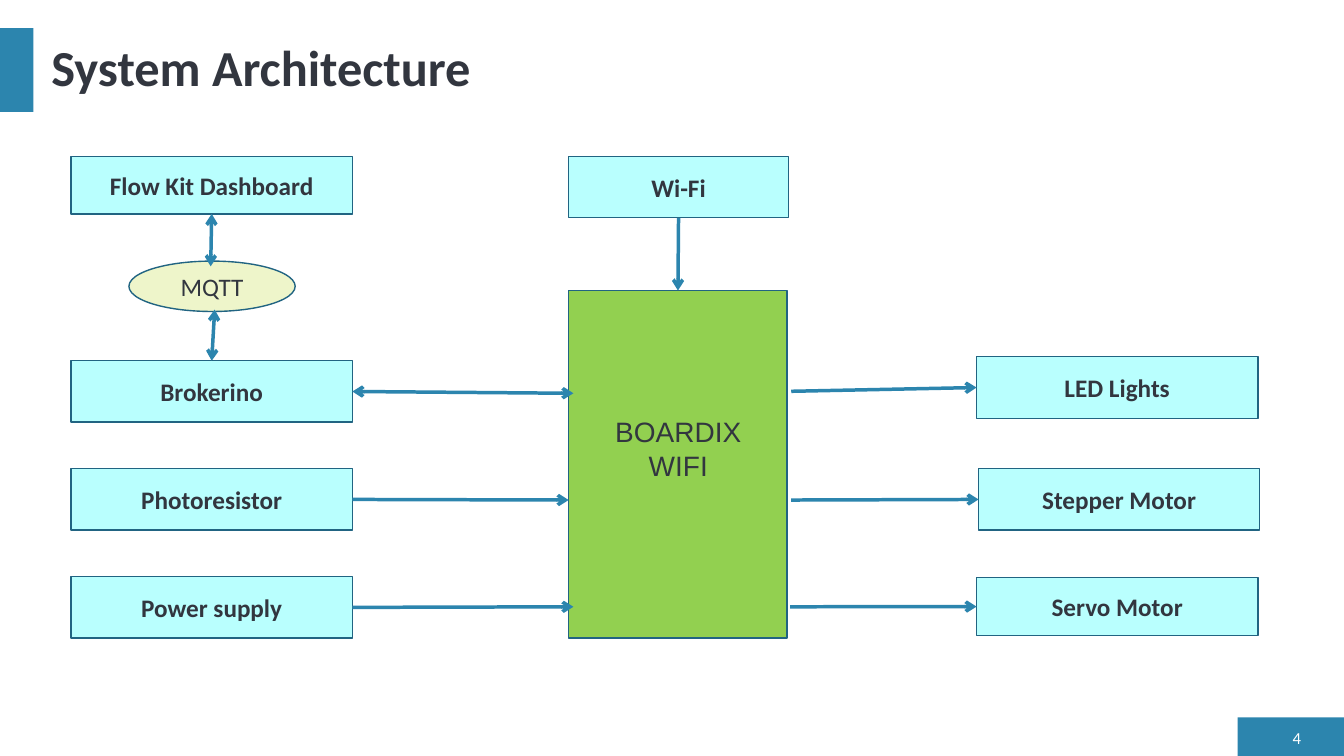
"""Build the System Architecture slide: a controller board with its inputs and outputs."""
from lxml import etree
from pptx import Presentation
from pptx import util as u
from pptx.dml.color import RGBColor
from pptx.enum import shapes, text
from pptx.oxml.ns import qn

BLUE, OUTLINE, INK, WHITE = "2C85AE", "216482", "32363F", "FFFFFF"
CYAN, GREEN, CREAM = "B9FFFE", "92D050", "EEF5CA"
RECTANGLE, OVAL = shapes.MSO_SHAPE.RECTANGLE, shapes.MSO_SHAPE.OVAL
TOP, LEFT, BOTTOM, RIGHT = range(4)


def write(shape, content, size=18, font="Calibri", color=INK, bold=False,
          align=text.PP_ALIGN.CENTER, spacing=1.0):
    """Put formatted text in a shape, one paragraph a line."""
    frame = shape.text_frame
    frame.text = content
    frame.word_wrap = True
    frame.vertical_anchor = text.MSO_ANCHOR.MIDDLE
    for paragraph in frame.paragraphs:
        paragraph.alignment = align
        paragraph.line_spacing = spacing
        for run in paragraph.runs:
            run.font.size = u.Pt(size)
            run.font.name = font
            run.font.bold = bold
            run.font.color.rgb = RGBColor.from_string(color)


def add_block(slide, kind, box, fill, outline=None):
    """Add a filled shape, with a thin outline if one is given."""
    shape = slide.shapes.add_shape(kind, *map(u.Cm, box))
    shape.shadow.inherit = False
    shape.fill.solid()
    shape.fill.fore_color.rgb = RGBColor.from_string(fill)
    if outline:
        shape.line.color.rgb = RGBColor.from_string(outline)
        shape.line.width = u.Pt(1)
    else:
        shape.line.fill.background()
    return shape


presentation = Presentation()
presentation.slide_width, presentation.slide_height = u.Cm(33.87), u.Cm(19.05)
slide = presentation.slides.add_slide(presentation.slide_layouts[5])

title = slide.shapes.title
title.left, title.top, title.width, title.height = map(u.Cm, (1.04, 0.71, 32, 2.11))
write(title, "System Architecture", size=36, bold=True,
      align=text.PP_ALIGN.LEFT, spacing=0.9)

add_block(slide, RECTANGLE, (0, 0.71, 0.84, 2.11), BLUE)
add_block(slide, RECTANGLE, (31.19, 18.08, 2.68, 0.97), BLUE)
page_number = slide.shapes.add_textbox(*map(u.Cm, (32, 18.29, 1.04, 0.58)))
write(page_number, "4", size=12, color=WHITE, align=text.PP_ALIGN.RIGHT)

controller = add_block(slide, RECTANGLE, (14.33, 7.32, 5.51, 8.76), GREEN, OUTLINE)
controller_label = slide.shapes.add_textbox(*map(u.Cm, (14.96, 10.31, 4.27, 1.96)))
write(controller_label, "BOARDIX\nWIFI", size=20, font="Arial")

protocol = add_block(slide, OVAL, (3.25, 6.58, 4.19, 1.27), CREAM, OUTLINE)
write(protocol, "MQTT")

boxes = {}
for name, left, top, width, height in [
    ("Flow Kit Dashboard", 1.79, 3.94, 7.09, 1.45),
    ("Brokerino", 1.79, 9.09, 7.09, 1.55),
    ("Photoresistor", 1.79, 11.81, 7.09, 1.55),
    ("Power supply", 1.79, 14.53, 7.09, 1.55),
    ("Wi-Fi", 14.33, 3.94, 5.54, 1.55),
    ("LED Lights", 24.61, 8.99, 7.09, 1.55),
    ("Stepper Motor", 24.66, 11.81, 7.09, 1.55),
    ("Servo Motor", 24.61, 14.55, 7.09, 1.47),
]:
    boxes[name] = add_block(slide, RECTANGLE, (left, top, width, height), CYAN, OUTLINE)
    write(boxes[name], name, bold=True)

dashboard, broker = boxes["Flow Kit Dashboard"], boxes["Brokerino"]
for start, end, both_ways in [
    ((dashboard, BOTTOM), (5.31, 6.71), True),
    ((5.41, 7.8), (broker, TOP), True),
    ((broker, RIGHT), (14.45, 9.91), True),
    ((boxes["Photoresistor"], RIGHT), (14.33, 12.6), False),
    ((boxes["Power supply"], RIGHT), (14.45, 15.29), False),
    ((boxes["Wi-Fi"], BOTTOM), (controller, TOP), False),
    ((19.94, 9.86), (boxes["LED Lights"], LEFT), False),
    ((19.94, 12.6), (boxes["Stepper Motor"], LEFT), False),
    ((19.91, 15.29), (boxes["Servo Motor"], LEFT), False),
]:
    arrow = slide.shapes.add_connector(shapes.MSO_CONNECTOR.STRAIGHT, 0, 0, 0, 0)
    if start[0] in boxes.values():
        arrow.begin_connect(*start)
    else:
        arrow.begin_x, arrow.begin_y = map(u.Cm, start)
    if end[0] in [controller, *boxes.values()]:
        arrow.end_connect(*end)
    else:
        arrow.end_x, arrow.end_y = map(u.Cm, end)
    arrow.line.color.rgb = RGBColor.from_string(BLUE)
    arrow.line.width = u.Pt(2.5)
    line = arrow.line._get_or_add_ln()
    for tag in ["a:headEnd", "a:tailEnd"] if both_ways else ["a:tailEnd"]:
        etree.SubElement(line, qn(tag), type="arrow")
    etree.SubElement(arrow._element.spPr, qn("a:effectLst"))

presentation.save("out.pptx")
